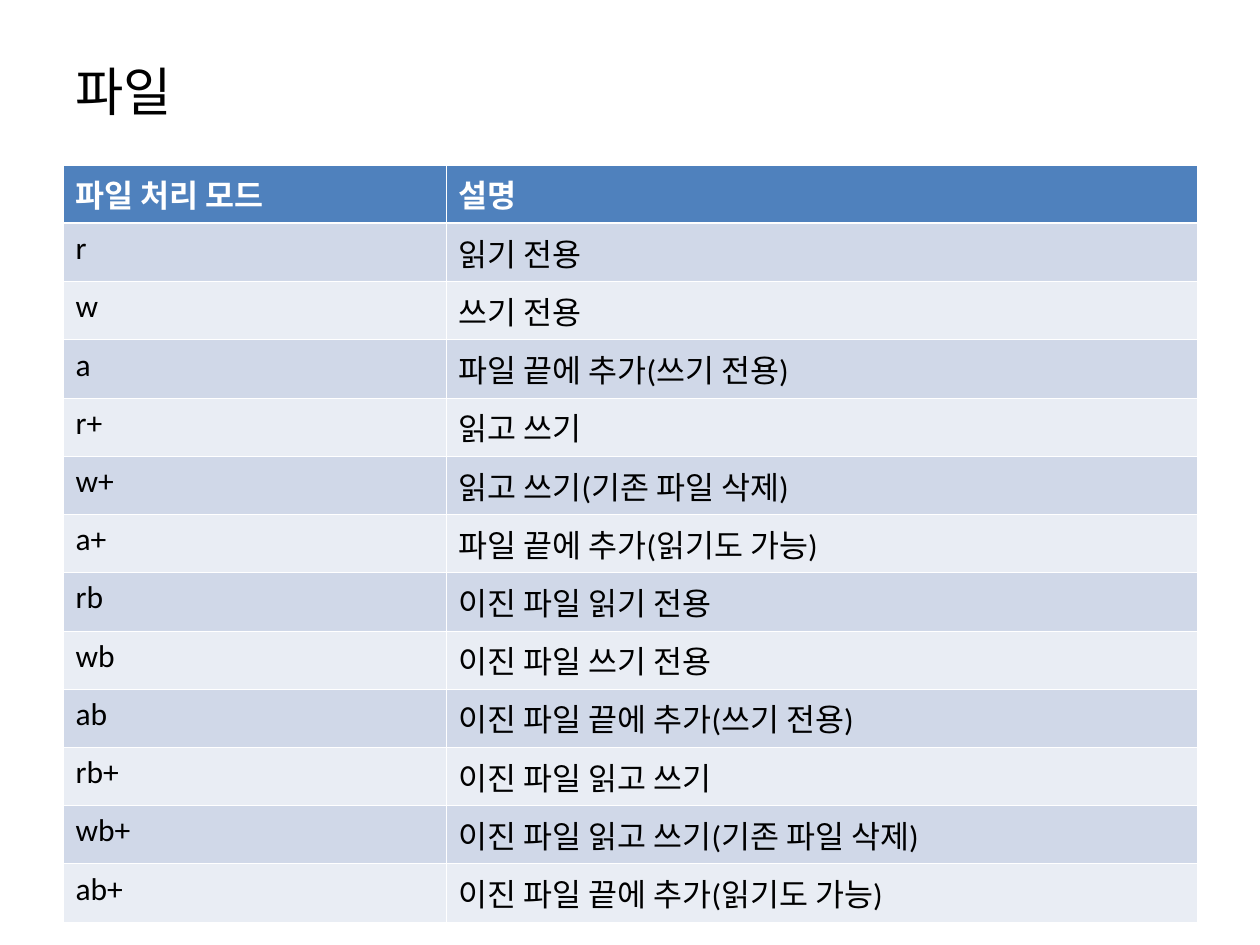
from lxml import etree
from pptx import Presentation
from pptx.dml.color import RGBColor
from pptx.enum.text import MSO_ANCHOR, PP_ALIGN
from pptx.oxml.ns import qn
from pptx.util import Emu, Pt

LEFT, MIDDLE = PP_ALIGN.LEFT, MSO_ANCHOR.MIDDLE
PX = 914400 // 126
WHITE, BLACK = "FFFFFF", "000000"
HEADER, BANDS = "4F81BD", ("D0D8E8", "E9EDF4")
THIN, THICK = 0.45, 1.47

MODES = [
    ("파일 처리 모드", "설명"),
    ("r", "읽기 전용"),
    ("w", "쓰기 전용"),
    ("a", "파일 끝에 추가(쓰기 전용)"),
    ("r+", "읽고 쓰기"),
    ("w+", "읽고 쓰기(기존 파일 삭제)"),
    ("a+", "파일 끝에 추가(읽기도 가능)"),
    ("rb", "이진 파일 읽기 전용"),
    ("wb", "이진 파일 쓰기 전용"),
    ("ab", "이진 파일 끝에 추가(쓰기 전용)"),
    ("rb+", "이진 파일 읽고 쓰기"),
    ("wb+", "이진 파일 읽고 쓰기(기존 파일 삭제)"),
    ("ab+", "이진 파일 끝에 추가(읽기도 가능)"),
]


def px(n):
    return Emu(n * PX)


def rgb(value):
    return RGBColor.from_string(value)


def add_run(p, text, size, font, color, bold=False):
    r = p.add_run()
    r.text = text
    r.font.size = Pt(size)
    r.font.name = font
    r.font.bold = bold
    r.font.color.rgb = rgb(color)


def set_borders(cell, widths):
    """Draw white borders; widths are points for left, right, top, bottom."""
    tc_pr = cell._tc.get_or_add_tcPr()
    for side, width in zip("LRTB", widths):
        ln = etree.SubElement(tc_pr, qn(f"a:ln{side}"), w=str(Pt(width)))
        fill = etree.SubElement(ln, qn("a:solidFill"))
        etree.SubElement(fill, qn("a:srgbClr"), val=WHITE)


def place_title(s, text, x, y, w, h):
    sp = s.shapes.title
    sp.left, sp.top, sp.width, sp.height = px(x), px(y), px(w), px(h)
    tf = sp.text_frame
    tf.vertical_anchor = MIDDLE
    p = tf.paragraphs[0]
    p.alignment = LEFT
    add_run(p, text, 30, "Roboto", BLACK)


def add_mode_table(s, rows, x, y, w, h, first_col):
    sp = s.shapes.add_table(len(rows), 2, px(x), px(y), px(w), px(h))
    table = sp.table
    table.columns[0].width = px(first_col)
    table.columns[1].width = px(w - first_col)
    for i, row in enumerate(rows):
        table.rows[i].height = Emu(h * PX // len(rows))
        is_header = i == 0
        top = THICK if i == 1 else THIN
        bottom = THICK if is_header else THIN
        for j, text in enumerate(row):
            cell = table.cell(i, j)
            set_borders(cell, (THIN, THIN, top, bottom))
            cell.fill.solid()
            cell.fill.fore_color.rgb = rgb(HEADER if is_header else BANDS[(i - 1) % 2])
            add_run(cell.text_frame.paragraphs[0], text, 18, "Calibri",
                    WHITE if is_header else BLACK, is_header)


def main():
    prs = Presentation()
    prs.slide_width, prs.slide_height = px(1260), px(945)
    s = prs.slides.add_slide(prs.slide_layouts[5])
    # Title
    place_title(s, "파일", 63, 38, 1134, 106)
    # File mode table
    add_mode_table(s, MODES, 63, 165, 1134, 757, 383)
    prs.save("out.pptx")


if __name__ == "__main__":
    main()
